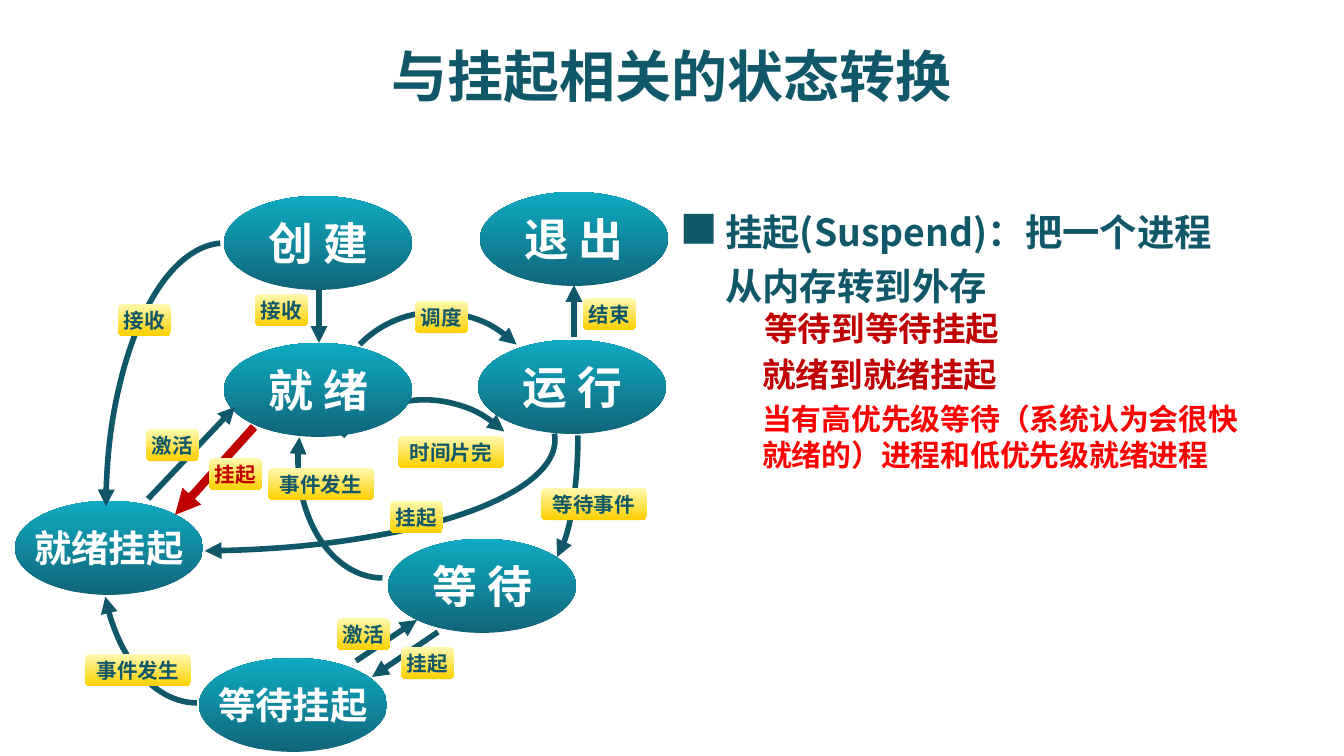
from pptx import Presentation
from pptx.dml.color import RGBColor
from pptx.enum.shapes import MSO_CONNECTOR, MSO_SHAPE
from pptx.enum.text import MSO_ANCHOR, PP_ALIGN
from pptx.oxml import parse_xml
from pptx.oxml.ns import qn
from pptx.util import Pt

PX = 914400 / 134.4
NS = 'xmlns:a="http://schemas.openxmlformats.org/drawingml/2006/main"'
ARC, OVAL, ROUNDED = MSO_SHAPE.ARC, MSO_SHAPE.OVAL, MSO_SHAPE.ROUNDED_RECTANGLE
STRAIGHT = MSO_CONNECTOR.STRAIGHT
LEFT, CENTER = PP_ALIGN.LEFT, PP_ALIGN.CENTER
TOP, MIDDLE = MSO_ANCHOR.TOP, MSO_ANCHOR.MIDDLE

THEME = {
    "font": "Noto Sans CJK SC", "bullet_font": "Noto Sans CJK JP",
    "teal": "11576A", "white": "FFFFFF", "dark_red": "C00000", "red": "FF0000",
    # gradient: OOXML angle in degrees, then (position in percent, colour)
    "state_fill": (270, [(0, "116579"), (77, "0F9BB1"), (100, "0EABC2")]),
    "label_fill": (90, [(0, "FFF9B1"), (100, "FDD000")]),
    "title": 30, "state": 24, "long_state": 20, "body": 20,
    "item": 18, "note": 16, "label": 11,
}

deck = Presentation()
deck.slide_width, deck.slide_height = round(1344 * PX), round(756 * PX)
page = deck.slides.add_slide(deck.slide_layouts[6])


def add_text(text, box, size, color="teal", font="font", align=LEFT, anchor=TOP,
             wrap=True, before=0, spacing=None, shape=None, gradient=None):
    """Put text in a text box, or inside a gradient-filled shape if one is given."""
    place = [round(v * PX) for v in box]
    if shape is None:
        holder = page.shapes.add_textbox(*place)
    else:
        holder = page.shapes.add_shape(shape, *place)
        holder.shadow.inherit = False
        holder.line.fill.background()
        angle, stops = THEME[gradient]
        stop_xml = "".join(
            f'<a:gs pos="{pos * 1000}"><a:srgbClr val="{shade}"/></a:gs>'
            for pos, shade in stops)
        holder.fill.background()
        properties = holder.element.spPr
        properties.replace(properties.find(qn("a:noFill")), parse_xml(
            f'<a:gradFill {NS} rotWithShape="1"><a:gsLst>{stop_xml}</a:gsLst>'
            f'<a:lin ang="{angle * 60000}" scaled="0"/></a:gradFill>'))
    frame = holder.text_frame
    frame.word_wrap, frame.vertical_anchor = wrap, anchor
    if shape is not None:
        frame.margin_left = frame.margin_right = 0
        frame.margin_top = frame.margin_bottom = 0
    para = frame.paragraphs[0]
    para.alignment, para.space_before = align, Pt(before)
    if spacing:
        para.line_spacing = spacing
    span = para.add_run()
    span.text = text
    span.font.size, span.font.bold = Pt(THEME[size]), True
    span.font.color.rgb = RGBColor.from_string(THEME[color])
    span.font.name = THEME[font]
    span.font.fill._xPr.find(qn("a:latin")).addnext(
        parse_xml(f'<a:ea {NS} typeface="{THEME[font]}"/>'))


def add_arrow(place, angles=None, turn=0, flips=(), end="tailEnd",
              color="teal", width=3):
    """Draw an arc in a box if angles are given, else a line between two points."""
    place = [round(v * PX) for v in place]
    if angles:
        arrow = page.shapes.add_shape(ARC, *place)
        for i, degrees in enumerate(angles):
            arrow.adjustments[i] = degrees * 0.6
        arrow.rotation = turn
        for flip in flips:
            arrow.element.spPr.xfrm.set(flip, "1")
        arrow.fill.background()
    else:
        arrow = page.shapes.add_connector(STRAIGHT, *place)
    arrow.line.width = Pt(width)
    arrow.line.color.rgb = RGBColor.from_string(THEME[color])
    arrow.line._get_or_add_ln().append(parse_xml(f'<a:{end} {NS} type="triangle"/>'))
    arrow.element.spPr.append(parse_xml(f"<a:effectLst {NS}/>"))


add_text("与挂起相关的状态转换", (101, 13, 1142, 124), "title",
         align=CENTER, anchor=MIDDLE, before=6)

# Curved transitions behind the states
add_arrow((511, 304, 67, 263), angles=(0, 84))
add_arrow((316, 398, 224, 231), angles=(268, 359), turn=314)
add_arrow((332, 310, 218, 226), angles=(270, 0), turn=314)
add_arrow((-169, 329, 724, 222), angles=(359, 84))

for name, left, top in [
    ("创 建", 224, 196), ("就 绪", 224, 343), ("运 行", 478, 340), ("等 待", 388, 539),
    ("退 出", 480, 192), ("就绪挂起", 15, 501), ("等待挂起", 199, 658),
]:
    add_text(name, (left, top, 188, 94), "long_state" if len(name) > 3 else "state",
             color="white", align=CENTER, anchor=MIDDLE, wrap=False,
             shape=OVAL, gradient="state_fill")

# Transitions in front of the states
for points in [
    (319, 290, 319, 343), (574, 337, 574, 285), (438, 632, 372, 677),
    (356, 661, 417, 620), (148, 499, 235, 407),
]:
    add_arrow(points)
add_arrow((254, 427, 175, 515), color="dark_red", width=4.5)
for box, angles, flips in [
    ((298, 341, 169, 237), (345, 90), ["flipH"]),
    ((101, 401, 192, 302), (26, 90), ["flipH"]),
    ((106, 243, 238, 531), (1, 89), ["flipH", "flipV"]),
]:
    add_arrow(box, angles=angles, flips=flips, end="headEnd")

for name, left, top, color in [
    ("挂起", 390, 501, "teal"), ("接收", 118, 304, "teal"),
    ("事件发生", 85, 654, "teal"), ("接收", 255, 294, "teal"),
    ("激活", 146, 429, "teal"), ("挂起", 209, 458, "dark_red"),
    ("事件发生", 268, 468, "teal"), ("激活", 337, 618, "teal"),
    ("挂起", 401, 647, "teal"), ("等待事件", 541, 488, "teal"),
    ("时间片完", 398, 436, "teal"), ("调度", 415, 301, "teal"),
    ("结束", 583, 298, "teal"),
]:
    add_text(name, (left, top, len(name) * 53 / 2, 32), "label", color=color,
             align=CENTER, anchor=MIDDLE, wrap=False,
             shape=ROUNDED, gradient="label_fill")

add_text("挂起(Suspend)：把一个进程从内存转到外存", (712, 194, 521, 63), "body",
         before=4, spacing=1.2)
add_text("■", (667, 200, 52, 59), "body", font="bullet_font", wrap=False, before=4)
add_text("等待到等待挂起", (751, 301, 560, 116), "item", color="dark_red", before=4)
add_text("就绪到就绪挂起", (749, 347, 560, 116), "item", color="dark_red", before=4)
add_text("当有高优先级等待（系统认为会很快就绪的）进程和低优先级就绪进程",
         (749, 394, 512, 116), "note", color="red", before=3)

deck.save("out.pptx")
